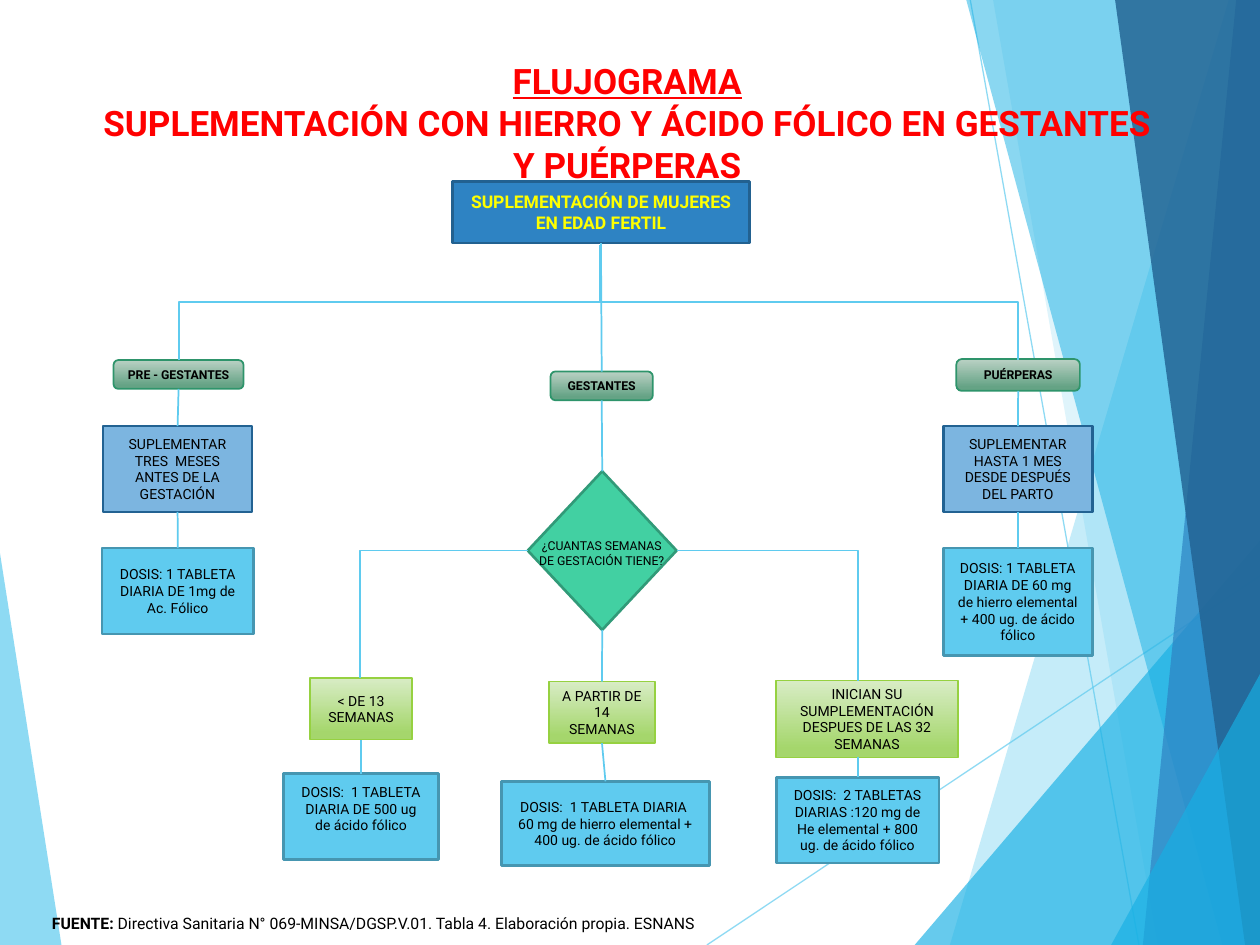
from lxml.etree import SubElement
from pptx import Presentation
from pptx.dml.color import RGBColor
from pptx.enum.shapes import MSO_CONNECTOR, MSO_SHAPE
from pptx.enum.text import MSO_ANCHOR, MSO_AUTO_SIZE, PP_ALIGN
from pptx.oxml.ns import qn
from pptx.util import Cm, Pt

rgb = RGBColor.from_string
WIDE, HIGH = 25.4, 19.05
SKY = "5FCBEF"


def write(para, text, size, colour="000000", **look):
    """Add a centred run to the paragraph."""
    para.alignment = PP_ALIGN.CENTER
    run = para.add_run()
    run.text = text
    look = {"name": "Roboto", "size": Pt(size), **look}
    for key, value in look.items():
        setattr(run.font, key, value)
    run.font.color.rgb = rgb(colour)


def fade(shape, share):
    """Make the solid colours of the shape let through what lies behind."""
    for node in shape._element.spPr.iter(qn("a:srgbClr")):
        SubElement(node, qn("a:alpha")).set("val", str(share * 1000))


deck = Presentation()
deck.slide_width, deck.slide_height = Cm(WIDE), Cm(HIGH)
slide = deck.slides.add_slide(deck.slide_layouts[5])
shapes = slide.shapes
lines = []

# Background rays and panes
for ends in [(14.25, HIGH, WIDE, 11.61), (19.56, 0, 22.96, HIGH)]:
    ray = shapes.add_connector(MSO_CONNECTOR.STRAIGHT, *map(Cm, ends))
    ray.line.color.rgb = rgb(SKY)
    ray.line.width = Pt(0.75)
    fade(ray, 70)
    lines.append(ray)

# Slanted edge from (x, y) down to the foot, closed along one slide side
panes = [
    (0, 11.15, 1.24, 0, SKY, 70),
    (24.77, 0, 19.15, WIDE, SKY, 36),
    (20.02, 0, 23.34, WIDE, SKY, 20),
    (WIDE, 10.9, 18.44, WIDE, "17B0E4", 66),
    (19.48, 0, 24.64, WIDE, "17B0E4", 50),
    (24.92, 0, 23.04, WIDE, "2E83C3", 70),
    (22.48, 0, 25.1, WIDE, "226292", 82),
    (WIDE, 13.59, 22.4, WIDE, "17B0E4", 66),
]
for x, y, foot, side, colour, share in panes:
    form = shapes.build_freeform(Cm(x), Cm(y))
    rest = [(foot, HIGH), (side, HIGH), (side, y)]
    form.add_line_segments([(Cm(a), Cm(b)) for a, b in rest])
    pane = form.convert_to_shape()
    pane.shadow.inherit = False
    pane.fill.solid()
    pane.fill.fore_color.rgb = rgb(colour)
    pane.line.fill.background()
    fade(pane, share)

# Boxes: preset, fill (two colours make a gradient), line, line width, text
RECT, ROUND = MSO_SHAPE.RECTANGLE, MSO_SHAPE.ROUNDED_RECTANGLE
bold = {"size": 7, "bold": True}
kinds = {
    "root": (RECT, ["2E83C3"], "226190", 1.5,
             {"size": 10, "bold": True, "colour": "FFFF00"}),
    "group": (ROUND, ["BAD1C4", "65A385"], "2E946B", 1, bold),
    "step": (RECT, ["7CB5E0"], "226292", 1.5, {"size": 8}),
    "dose": (RECT, [SKY], "4696B1", 1.5, {"size": 8}),
    "weeks": (RECT, ["D8ECC5", "A5D66C"], "96D141", 1, {"size": 8}),
    "ask": (MSO_SHAPE.DIAMOND, ["42D0A2"], "319A78", 1.5, {}),
}
boxes = [
    ("root", "root", 9.12, 3.66, 5.99, 1.24,
     "SUPLEMENTACIÓN DE MUJERES EN EDAD FERTIL"),
    ("pre", "group", 2.29, 7.26, 2.62, 0.58, "PRE - GESTANTES"),
    ("pre step", "step", 2.08, 8.59, 3, 1.73,
     "SUPLEMENTAR TRES  MESES ANTES DE LA GESTACIÓN"),
    ("pre dose", "dose", 2.06, 11.05, 3.05, 1.73,
     "DOSIS: 1 TABLETA DIARIA DE 1mg de Ac. Fólico"),
    ("mid", "group", 11.1, 7.49, 2.06, 0.58, "GESTANTES"),
    ("ask", "ask", 10.64, 9.5, 3, 3.2, ""),
    ("early", "weeks", 6.25, 13.67, 2.06, 1.24, "< DE 13 SEMANAS"),
    ("early dose", "dose", 5.72, 15.6, 3.12, 1.73,
     "DOSIS:  1 TABLETA DIARIA DE 500 ug de ácido fólico"),
    ("next", "weeks", 11.07, 13.74, 2.13, 1.24, "A PARTIR DE 14 SEMANAS"),
    ("next dose", "dose", 10.11, 15.75, 4.19, 1.7,
     "DOSIS:  1 TABLETA DIARIA  60 mg de hierro elemental + 400 ug. de ácido fólico"),
    ("late", "weeks", 15.65, 13.72, 3.66, 1.55,
     "INICIAN SU SUMPLEMENTACIÓN DESPUES DE LAS 32 SEMANAS"),
    ("late dose", "dose", 15.65, 15.67, 3.28, 1.73,
     "DOSIS:  2 TABLETAS DIARIAS :120 mg de He elemental + 800 ug. de ácido fólico"),
    ("post", "group", 19.28, 7.24, 2.49, 0.64, "PUÉRPERAS"),
    ("post step", "step", 19.02, 8.59, 3, 1.73,
     "SUPLEMENTAR HASTA 1 MES DESDE DESPUÉS DEL PARTO"),
    ("post dose", "dose", 19.02, 11.05, 3, 2.16,
     "DOSIS: 1 TABLETA DIARIA DE 60 mg de hierro elemental + 400 ug. de ácido fólico"),
]
made = {}
for name, kind, x, y, w, h, text in boxes:
    preset, fills, edge, thick, look = kinds[kind]
    box = made[name] = shapes.add_shape(preset, Cm(x), Cm(y), Cm(w), Cm(h))
    box.shadow.inherit = False
    if len(fills) == 2:
        box.fill.gradient()
        box.fill.gradient_angle = 270
        for stop, colour, place in zip(box.fill.gradient_stops, fills, (0, 0.88)):
            stop.color.rgb = rgb(colour)
            stop.position = place
    else:
        box.fill.solid()
        box.fill.fore_color.rgb = rgb(fills[0])
    box.line.color.rgb = rgb(edge)
    box.line.width = Pt(thick)
    if text:
        box.text_frame.word_wrap = True
        box.text_frame.vertical_anchor = MSO_ANCHOR.MIDDLE
        write(box.text_frame.paragraphs[0], text, **look)
made["early dose"].text_frame.margin_bottom = Cm(0.46)

# Straight links run from the foot of one box to the head of the next
links = [("root", "mid"), ("mid", "ask"), ("ask", "next"),
         ("pre", "pre step"), ("pre step", "pre dose"),
         ("post", "post step"), ("post step", "post dose"),
         ("early", "early dose"), ("next", "next dose")]
for start, end in links:
    link = shapes.add_connector(MSO_CONNECTOR.STRAIGHT, 0, 0, 0, 0)
    link.begin_connect(made[start], 2)
    link.end_connect(made[end], 0)
    lines.append(link)
lines.append(shapes.add_connector(
    MSO_CONNECTOR.STRAIGHT, Cm(17.3), Cm(15.27), Cm(17.3), Cm(15.67)))

# Elbows: ends before turning, turn in degrees, preset
elbows = [
    (9.04, 10.34, 6.68, 1.83, 90, "bentConnector3"),
    (17.47, 1.88, 15.16, 10.31, 270, "bentConnector3"),
    (13.64, 11.1, 17.3, 13.72, 0, "bentConnector2"),
    (7.26, 13.67, 10.64, 11.1, 180, "bentConnector2"),
]
for *ends, turn, preset in elbows:
    elbow = shapes.add_connector(MSO_CONNECTOR.ELBOW, *map(Cm, ends))
    props = elbow._element.spPr
    props.find(qn("a:xfrm")).set("rot", str(turn * 60000))
    props.find(qn("a:prstGeom")).set("prst", preset)
    lines.append(elbow)

for line in lines[2:]:
    line.line.color.rgb = rgb(SKY)
    line.line.width = Pt(1)
for line in lines:
    SubElement(line._element.spPr, qn("a:effectLst"))

# Free text
ask = shapes.add_textbox(Cm(10.62), Cm(10.34), Cm(3.02), Cm(1.63)).text_frame
write(ask.paragraphs[0], "¿CUANTAS SEMANAS DE GESTACIÓN TIENE?", 7)
note = shapes.add_textbox(Cm(0.33), Cm(18.21), Cm(14.38), Cm(0.79)).text_frame
write(note.paragraphs[0], "FUENTE: ", 9, bold=True)
write(note.paragraphs[0],
      "Directiva Sanitaria N° 069-MINSA/DGSP.V.01. Tabla 4. Elaboración propia. ESNANS", 9)
for frame in (ask, note):
    frame.word_wrap = True
    frame.vertical_anchor = MSO_ANCHOR.MIDDLE

title = shapes.title
title.left, title.top, title.width, title.height = map(Cm, (1.7, 1.07, 21.89, 2.06))
title.text_frame.auto_size = MSO_AUTO_SIZE.NONE
title.text_frame.vertical_anchor = MSO_ANCHOR.TOP
head = title.text_frame.paragraphs[0]
write(head, "FLUJOGRAMA", 20, "FF0000", bold=True, underline=True)
head.add_line_break()
write(head, "SUPLEMENTACIÓN CON HIERRO Y ÁCIDO FÓLICO EN GESTANTES Y PUÉRPERAS",
      20, "FF0000", bold=True)
shapes._spTree.append(title._element)  # in front of the panes

deck.save("out.pptx")
